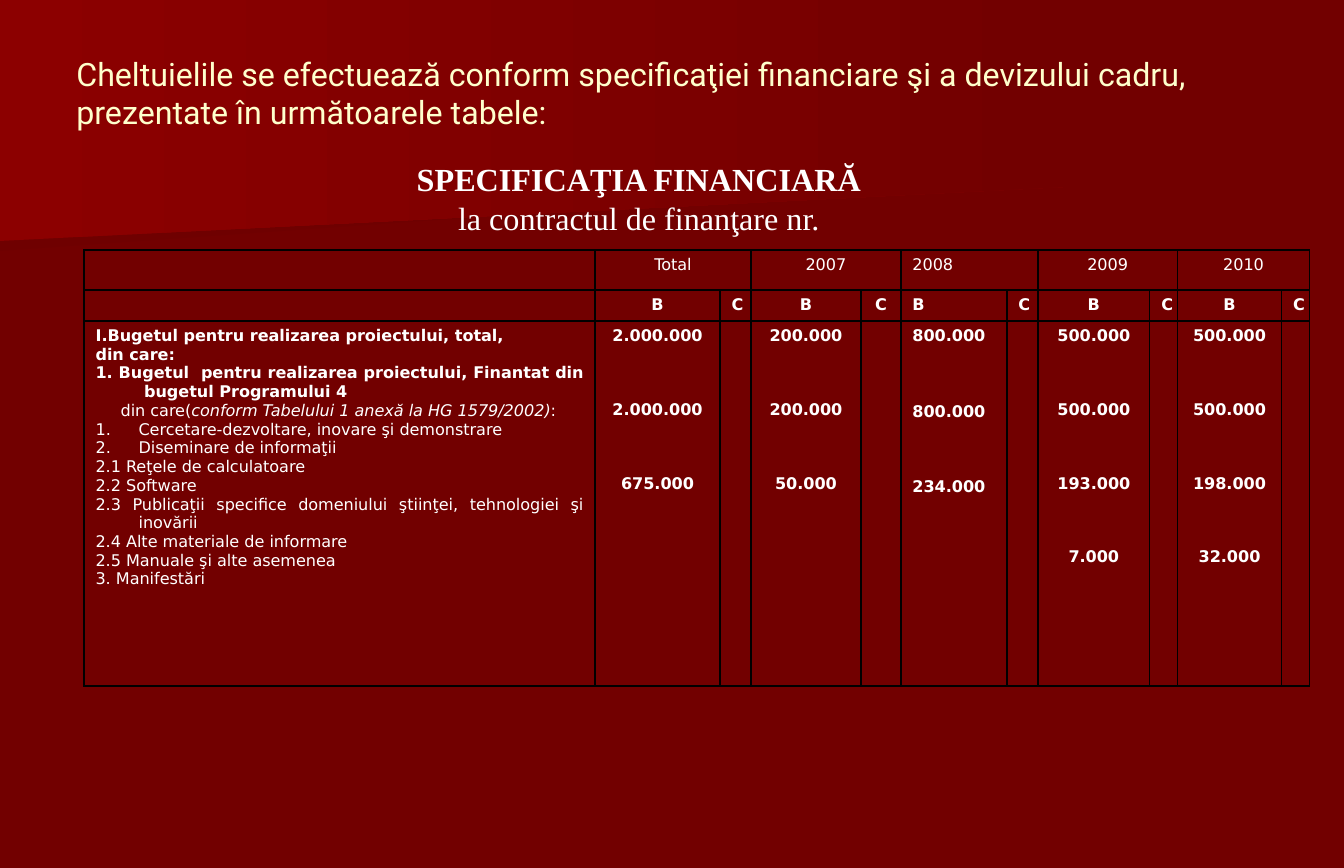
from lxml import etree
from pptx import Presentation, util as u
from pptx.dml.color import RGBColor
from pptx.enum import text
from pptx.oxml.ns import qn

PX = 7905  # EMU in one px
AL = text.PP_ALIGN
THEME = {
    "background": RGBColor.from_string("720000"),
    "wedge": RGBColor.from_string("8C0000"),
    "band": RGBColor.from_string("6F0000"),
    "border": "000000",
    "title": {"size": u.Pt(20), "name": "Roboto", "color": "FFFFCC"},
    "heading": {"size": u.Pt(20), "name": "Times New Roman", "color": "FFFFFF"},
    "table": {"size": u.Pt(10), "name": "DejaVu Sans", "color": "FFFFFF"},
}


def write(p, runs, style, align=AL.LEFT):
    """Fill a paragraph with (text, format) runs in one theme style."""
    p.alignment = align
    for wording, extra in runs:
        r = p.add_run()
        r.text = wording
        for name, value in {**THEME[style], **extra}.items():
            if name == "color":
                r.font.color.rgb = RGBColor.from_string(value)
            else:
                setattr(r.font, name, value)


def hang(p, margin=43, indent=-43):
    pPr = p._p.get_or_add_pPr()
    pPr.set("marL", str(margin * PX))
    pPr.set("indent", str(indent * PX))
    return pPr


prs = Presentation()
prs.slide_width, prs.slide_height = 1344 * PX, 868 * PX
s = prs.slides.add_slide(prs.slide_layouts[6])
s.background.fill.solid()
s.background.fill.fore_color.rgb = THEME["background"]

# Background wedges, shaded from left to right
wedges = [
    ("band", [(1046, 177), (0, 251), (0, 117), (1047, 117), (1046, 148)]),
    ("wedge", [(1064, 187), (0, 241), (0, 0), (1064, 0)]),
]
for colour, points in wedges:
    outline = s.shapes.build_freeform(*points[0], scale=PX)
    outline.add_line_segments(points[1:], close=True)
    sp = outline.convert_to_shape()
    sp.shadow.inherit = False
    sp.line.fill.background()
    sp.fill.gradient()
    sp.fill.gradient_angle = 0
    for stop, rgb in zip(sp.fill.gradient_stops, (THEME[colour], THEME["background"])):
        stop.color.rgb = rgb

# Title and table heading
boxes = [
    ("title", (65, 20, 1209, 145), text.MSO_ANCHOR.MIDDLE, AL.LEFT, [
        ("Cheltuielile se efectuează conform specificaţiei financiare şi a devizului cadru, "
         "prezentate în următoarele tabele:", {})]),
    ("heading", (362, 154, 554, 106), text.MSO_ANCHOR.TOP, AL.CENTER, [
        ("SPECIFICAŢIA FINANCIARĂ", {"bold": True}),
        ("la contractul de finanţare nr.", {})]),
]
for style, place, anchor, align, lines in boxes:
    tf = s.shapes.add_textbox(*(v * PX for v in place)).text_frame
    tf.word_wrap = True
    tf.vertical_anchor = anchor
    for i, line in enumerate(lines):
        write(tf.add_paragraph() if i else tf.paragraphs[0], [line], style, align)

# Table grid
col_widths = [511, 125, 31, 110, 40, 106, 31, 112, 27, 104, 28]
row_heights = [40, 30, 365]
table = s.shapes.add_table(
    len(row_heights), len(col_widths), 84 * PX, 250 * PX,
    sum(col_widths) * PX, sum(row_heights) * PX).table
table.first_row = table.horz_banding = False
for column, width in zip(table.columns, col_widths):
    column.width = width * PX
for row, height in zip(table.rows, row_heights):
    row.height = height * PX

for cell in table.iter_cells():
    cell.fill.background()
    tcPr = cell._tc.get_or_add_tcPr()
    for i, side in enumerate(("lnL", "lnR", "lnT", "lnB")):
        ln = etree.Element(qn(f"a:{side}"), w=str(u.Pt(1)))
        solid = etree.SubElement(ln, qn("a:solidFill"))
        etree.SubElement(solid, qn("a:srgbClr"), val=THEME["border"])
        tcPr.insert(i, ln)

# Budget items
bold, italic = {"bold": True}, {"italic": True}
items = [
    [("I.Bugetul pentru realizarea proiectului, total,", bold)],
    [("din care:", bold)],
    [("1. Bugetul  pentru realizarea proiectului, Finantat din  bugetul Programului 4", bold)],
    [("din care(", {}), ("conform Tabelului 1 anexă la HG 1579/2002)", italic), (":", {})],
    [("Cercetare-dezvoltare, inovare şi demonstrare", {})],
    [("Diseminare de informaţii", {})],
    [("2.1 Reţele de calculatoare", {})],
    [("2.2 Software", {})],
    [("2.3 Publicaţii specifice domeniului ştiinţei, tehnologiei şi inovării", {})],
    [("2.4 Alte materiale de informare", {})],
    [("2.5 Manuale şi alte asemenea", {})],
    [("3. Manifestări", {})],
]
SUBLINE, NUMBERED = 3, (4, 5)
tf = table.cell(2, 0).text_frame
for i, runs in enumerate(items):
    p = tf.add_paragraph() if i else tf.paragraphs[0]
    pPr = hang(p, indent=-18 if i == SUBLINE else -43)
    if i in NUMBERED:
        etree.SubElement(pPr, qn("a:buFont"), typeface="+mj-lt")
        etree.SubElement(pPr, qn("a:buAutoNum"), type="arabicPeriod")
    write(p, runs, "table", AL.JUSTIFY)

# Yearly amounts: heading, alignment, gap between amounts, amounts
periods = [
    ("Total", AL.CENTER, 55, ["2.000.000", "2.000.000", "675.000"]),
    ("2007", AL.CENTER, 55, ["200.000", "200.000", "50.000"]),
    ("2008", AL.LEFT, 57, ["800.000", "800.000", "234.000"]),
    ("2009", AL.CENTER, 55, ["500.000", "500.000", "193.000", "7.000"]),
    ("2010", AL.CENTER, 55, ["500.000", "500.000", "198.000", "32.000"]),
]
for i, (period, align, gap, amounts) in enumerate(periods):
    col = 1 + 2 * i
    table.cell(0, col).merge(table.cell(0, col + 1))
    labels = [(0, col, period, {}, align), (1, col, "B", bold, align),
              (1, col + 1, "C", bold, AL.CENTER)]
    for row, column, label, extra, label_align in labels:
        p = table.cell(row, column).text_frame.paragraphs[0]
        hang(p)
        write(p, [(label, extra)], "table", label_align)
    tf = table.cell(2, col).text_frame
    for k, amount in enumerate(amounts):
        p = tf.add_paragraph() if k else tf.paragraphs[0]
        hang(p)
        if k:
            p.space_before = u.Emu(gap * PX)
        write(p, [(amount, bold)], "table", align)

# Empty cells keep the table type size so that rows stay low
for cell in table.iter_cells():
    p = cell.text_frame.paragraphs[0]
    if not p.runs:
        size = str(int(THEME["table"]["size"].pt * 100))
        etree.SubElement(p._p, qn("a:endParaRPr"), sz=size)

prs.save("out.pptx")
